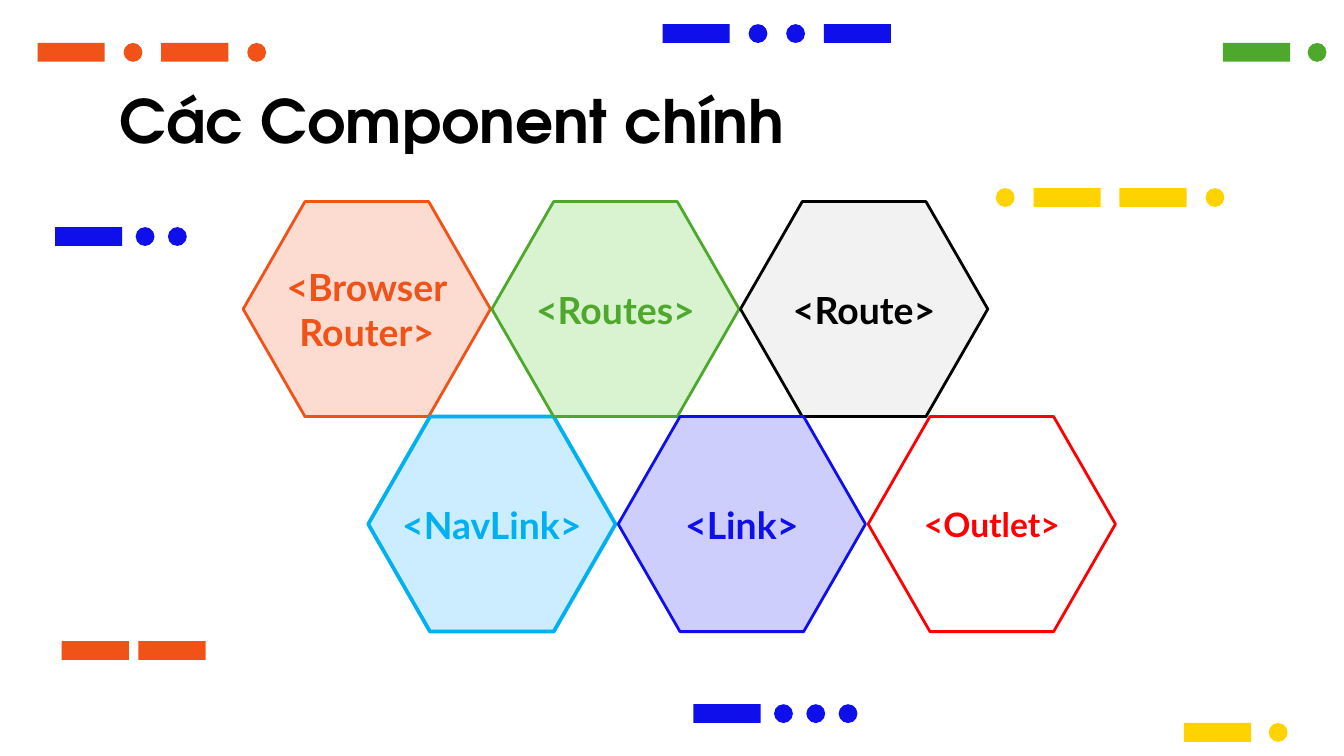
from pptx import Presentation
from pptx.dml.color import RGBColor
from pptx.enum.shapes import MSO_SHAPE
from pptx.enum.text import MSO_ANCHOR, PP_ALIGN
from pptx.util import Inches, Pt

ORANGE, BLUE, YELLOW, GREEN = "F05218", "0F0FEB", "FFD300", "4DA82C"
CYAN, RED, BLACK = "00B0F0", "FF0000", "000000"


def rgb(value):
    return RGBColor.from_string(value)


class SlideBuilder:
    title_font = "TeX Gyre Adventor"
    body_font = "Lato"
    dash_width, dot_size = 0.5, 0.14
    hex_width, hex_height, hex_corner = 1.84, 1.6, 0.46

    def __init__(self, prs):
        self.s = prs.slides.add_slide(prs.slide_layouts[5])

    def style_text(self, tf, font, size, color, align, anchor):
        tf.word_wrap = True
        tf.vertical_anchor = anchor
        tf.margin_left = tf.margin_right = Inches(0.1)
        tf.margin_top = tf.margin_bottom = Inches(0.1)
        for p in tf.paragraphs:
            p.alignment = align
            for r in p.runs:
                r.font.name = font
                r.font.size = Pt(size)
                r.font.bold = True
                r.font.color.rgb = rgb(color)

    def title(self, text, left, top, width, height):
        sp = self.s.shapes.title
        sp.left, sp.top = Inches(left), Inches(top)
        sp.width, sp.height = Inches(width), Inches(height)
        sp.text_frame.text = text
        self.style_text(sp.text_frame, self.title_font, 32, BLACK,
                        PP_ALIGN.LEFT, MSO_ANCHOR.TOP)

    def dash_row(self, pattern, left, top, gap, color):
        """Draw a row of marks: '-' is a dash, 'o' is a dot."""
        for mark in pattern:
            if mark == "-":
                kind, width = MSO_SHAPE.RECTANGLE, self.dash_width
            else:
                kind, width = MSO_SHAPE.OVAL, self.dot_size
            sp = self.s.shapes.add_shape(kind, Inches(left), Inches(top),
                                         Inches(width), Inches(self.dot_size))
            sp.shadow.inherit = False
            sp.fill.solid()
            sp.fill.fore_color.rgb = rgb(color)
            sp.line.fill.background()
            left += width + gap

    def hexagon(self, text, left, top, fill, color, size, weight):
        right, bottom = left + self.hex_width, top + self.hex_height
        middle = top + self.hex_height / 2
        inner_left, inner_right = left + self.hex_corner, right - self.hex_corner
        points = [(inner_left, top), (left, middle), (inner_left, bottom),
                  (inner_right, bottom), (right, middle), (inner_right, top)]
        points = [(Inches(x), Inches(y)) for x, y in points]
        outline = self.s.shapes.build_freeform(*points[0])
        outline.add_line_segments(points[1:], close=True)
        sp = outline.convert_to_shape()
        sp.shadow.inherit = False
        sp.fill.solid()
        sp.fill.fore_color.rgb = rgb(fill)
        sp.line.color.rgb = rgb(color)
        sp.line.width = Pt(weight)
        sp.text_frame.text = text
        self.style_text(sp.text_frame, self.body_font, size, color,
                        PP_ALIGN.CENTER, MSO_ANCHOR.MIDDLE)


def main():
    prs = Presentation()
    # 16:9 page
    prs.slide_width = Inches(10)
    prs.slide_height = prs.slide_width * 9 // 16
    slide = SlideBuilder(prs)

    # Decorative dashes and dots
    for row in [
        ("--", 0.46, 4.77, 0.07, ORANGE),
        ("-o", 8.81, 5.38, 0.13, YELLOW),
        ("-oo", 0.41, 1.69, 0.1, BLUE),
        ("-o", 9.1, 0.32, 0.13, GREEN),
        ("-oo-", 4.93, 0.18, 0.14, BLUE),
        ("o--o", 7.41, 1.4, 0.14, YELLOW),
        ("-ooo", 5.16, 5.24, 0.1, BLUE),
        ("-o-o", 0.28, 0.32, 0.14, ORANGE),
    ]:
        slide.dash_row(*row)

    slide.title("Các Component chính", 0.79, 0.52, 8.43, 0.63)

    # Honeycomb: (row, column) gives each cell its place
    row_lefts, pitches = (1.81, 2.74), (1.85, 1.86)
    for row, column, text, fill, color, size, weight in [
        (0, 0, "<Browser\nRouter>", "FCDCD1", ORANGE, 20, 1.5),
        (1, 0, "<NavLink>", "CCECFF", CYAN, 20, 2),
        (1, 2, "<Outlet>", "FFFFFF", RED, 18, 1.5),
        (0, 1, "<Routes>", "D9F3D0", GREEN, 20, 1.5),
        (0, 2, "<Route>", "F2F2F2", BLACK, 20, 1.5),
        (1, 1, "<Link>", "CECEFC", BLUE, 20, 1.5),
    ]:
        left = row_lefts[row] + column * pitches[row]
        top = 1.5 + row * slide.hex_height
        slide.hexagon(text, left, top, fill, color, size, weight)

    prs.save("out.pptx")


if __name__ == "__main__":
    main()
